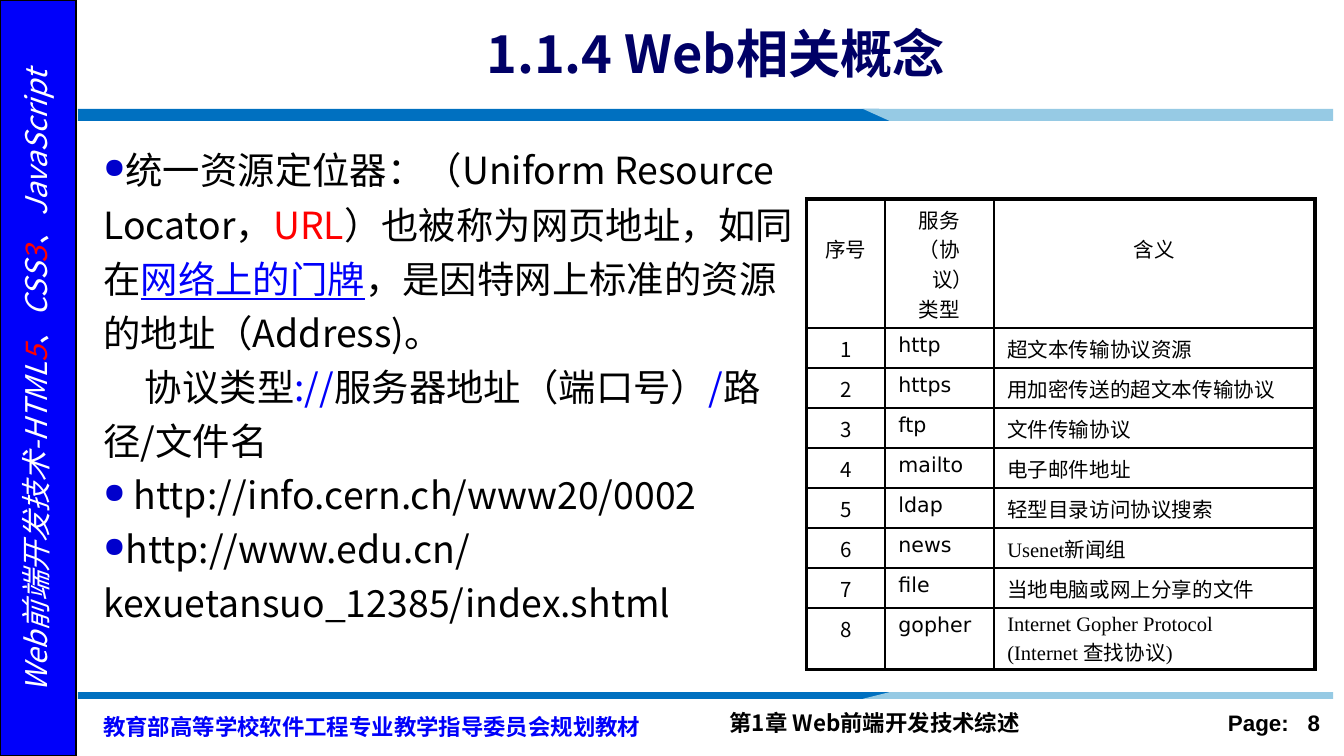
"""Build the slide on Web concepts: the URL and its protocol types."""
from dataclasses import dataclass
from typing import NamedTuple

from lxml import etree
from pptx import Presentation
from pptx import util as u
from pptx.dml.color import RGBColor
from pptx.enum import shapes, text
from pptx.oxml.ns import qn

COLORS = {"black": "000000", "white": "FFFFFF", "red": "FF0000", "blue": "0000FA",
          "bullet": "0000CC", "navy": "000066", "band": "0070C0", "pale": "96CAE4"}
CJK, SANS, SERIF, LATIN = "Noto Sans CJK SC", "DejaVu Sans", "Times New Roman", "Arial"
WIDTH, HEIGHT = u.Pt(720), u.Pt(405)
ROWS = 56.25
GRID_COLUMN, GRID_ROW = WIDTH / 100, HEIGHT / ROWS


class Area(NamedTuple):
    """A rectangle in grid columns and rows."""
    column: float
    row: float
    columns: float
    rows: float

    def emu(self) -> tuple[int, int, int, int]:
        """Return left, top, width and height."""
        return (across(self.column), down(self.row), across(self.columns), down(self.rows))


@dataclass
class Style:
    """Looks shared by the runs of one text."""
    size: float
    font: str = CJK
    color: str = "black"
    bold: bool = False
    italic: bool = False


class Piece(NamedTuple):
    """A stretch of text with its own colour, underline or tracking."""
    words: str
    color: str = ""
    underline: bool = False
    tracking: int = 0


class Point(NamedTuple):
    """A paragraph of the explanation."""
    pieces: list[Piece]
    bullet: bool = True
    indent: float = -0.2


class Band(NamedTuple):
    """A two-tone rule, from its slanted tip's near edge to its far edge."""
    near: float
    far: float


SIDEBAR = [Piece("Web前端开发技术-HTML"), Piece("5", "red"), Piece("、CSS"),
           Piece("3", "red"), Piece("、JavaScript")]
POINTS = [
    Point([Piece("统一资源定位器：（Uniform Resource Locator，"), Piece("URL", "red"),
           Piece("）也被称为网页地址，如同在"), Piece("网络上的门牌", "blue", True),
           Piece("，是因特网上标准的资源的地址（Address)。")]),
    Point([Piece("协议类型"), Piece("://", "blue"), Piece("服务器地址（端口号）"),
           Piece("/", "blue"), Piece("路径/文件名")], False, 0.31),
    Point([Piece(" http://info.cern.ch/www20/0002")]),
    Point([Piece("http://www.edu.cn/kexuetansuo_12385/index.shtml")]),
]
HEADERS = ["序号", "服务\n（协议）\n类型", "含义"]
PROTOCOLS = [("http", "超文本传输协议资源"), ("https", "用加密传送的超文本传输协议"),
             ("ftp", "文件传输协议"), ("mailto", "电子邮件地址"),
             ("ldap", "轻型目录访问协议搜索"), ("news", "Usenet新闻组"),
             ("file", "当地电脑或网上分享的文件"),
             ("gopher", "Internet Gopher Protocol\n(Internet 查找协议)")]
TABLE_COLUMNS = [5.85, 8.1, 23.9]
TABLE_ROWS = [9.6] + [2.98] * 7 + [4.6]


def across(columns: float) -> int:
    """Turn grid columns into a length."""
    return round(columns * GRID_COLUMN)


def down(rows: float) -> int:
    """Turn grid rows into a length."""
    return round(rows * GRID_ROW)


def rgb(name: str) -> RGBColor:
    """Look up a named colour."""
    return RGBColor.from_string(COLORS[name])


def format_run(run, style: Style, piece: Piece = Piece("")) -> None:
    """Apply a style and a piece's own looks to a run."""
    font = run.font
    font.size, font.name = u.Pt(style.size), style.font
    font.bold, font.italic = style.bold, style.italic
    font.underline = piece.underline
    font.color.rgb = rgb(piece.color or style.color)
    properties = font._element
    etree.SubElement(properties, qn("a:ea"), typeface=CJK)
    if piece.tracking:
        properties.set("spc", str(piece.tracking))


def write(paragraph, pieces: list[Piece], style: Style) -> None:
    """Fill a paragraph with pieces."""
    for piece in pieces:
        run = paragraph.add_run()
        run.text = piece.words
        format_run(run, style, piece)


def indent(paragraph, margin: float, first: float) -> None:
    """Set left margin and first-line indent in inches."""
    properties = paragraph._p.get_or_add_pPr()
    properties.set("marL", str(u.Inches(margin)))
    properties.set("indent", str(u.Inches(first)))


def add_label(slide, area: Area, pieces: list[Piece], style: Style,
              align=text.PP_ALIGN.LEFT, spacing=None):
    """Add a one-paragraph text box."""
    label = slide.shapes.add_textbox(*area.emu())
    label.text_frame.word_wrap = True
    paragraph = label.text_frame.paragraphs[0]
    paragraph.alignment, paragraph.line_spacing = align, spacing
    write(paragraph, pieces, style)
    return label


def add_sidebar(slide) -> None:
    """Add the blue strip with the upright book title."""
    strip = slide.shapes.add_shape(shapes.MSO_SHAPE.RECTANGLE, *Area(0, 0, 5.65, ROWS).emu())
    strip.shadow.inherit = False
    strip.fill.solid()
    strip.fill.fore_color.rgb = rgb("blue")
    strip.line.color.rgb, strip.line.width = rgb("black"), u.Pt(1)
    book = add_label(slide, Area(-23.1, 26.7, 51.9, 3.4), SIDEBAR,
                     Style(16, color="white", italic=True), text.PP_ALIGN.CENTER, 0.9)
    book.text_frame.margin_left = book.text_frame.margin_right = 0
    book.rotation = 270


def add_band(slide, band: Band) -> None:
    """Draw a rule's dark part and the pale part over it."""
    near, far = band
    parts = {"band": [(5.8, near), (65.4, near), (67.2, far), (5.8, far)],
             "pale": [(64.2, near), (99.2, near), (99.2, far), (66.2, far)]}
    for color, corners in parts.items():
        outline = [(across(x), down(y)) for x, y in corners]
        builder = slide.shapes.build_freeform(*outline[0], scale=1.0)
        builder.add_line_segments(outline[1:], close=True)
        part = builder.convert_to_shape()
        part.shadow.inherit = False
        part.fill.solid()
        part.fill.fore_color.rgb = rgb(color)
        part.line.fill.background()


def add_title(slide, words: str) -> None:
    """Place and format the title."""
    title = slide.shapes.title
    title.left, title.top, title.width, title.height = Area(10.8, 0.8, 84.9, 6.2).emu()
    title.text_frame.text = words
    title.text_frame.vertical_anchor = text.MSO_ANCHOR.MIDDLE
    paragraph = title.text_frame.paragraphs[0]
    paragraph.alignment = text.PP_ALIGN.CENTER
    format_run(paragraph.runs[0], Style(28, color="navy", bold=True))


def add_explanation(slide) -> None:
    """Add the bulleted explanation of the URL."""
    frame = slide.shapes.add_textbox(*Area(6.7, 9.8, 54.5, 37.6).emu()).text_frame
    frame.word_wrap = True
    for index, point in enumerate(POINTS):
        paragraph = frame.add_paragraph() if index else frame.paragraphs[0]
        paragraph.line_spacing = u.Pt(29)
        indent(paragraph, 0, point.indent)
        if point.bullet:
            properties = paragraph._p.get_or_add_pPr()
            color = etree.SubElement(properties, qn("a:buClr"))
            etree.SubElement(color, qn("a:srgbClr"), val=COLORS["bullet"])
            etree.SubElement(properties, qn("a:buSzPct"), val="75000")
            etree.SubElement(properties, qn("a:buChar"), char="●")
        write(paragraph, point.pieces, Style(20))


def add_borders(cell, widths: dict[str, int]) -> None:
    """Draw a cell's four borders, widths in points."""
    properties = cell._tc.get_or_add_tcPr()
    for side, width in widths.items():
        line = etree.SubElement(properties, qn(f"a:ln{side}"), w=str(u.Pt(width)))
        fill = etree.SubElement(line, qn("a:solidFill"))
        etree.SubElement(fill, qn("a:srgbClr"), val=COLORS["black"])


def add_protocols(slide) -> None:
    """Add the table of protocol types."""
    rows = [HEADERS] + [(str(n), *entry) for n, entry in enumerate(PROTOCOLS, 1)]
    last_row, last_column = len(rows) - 1, len(HEADERS) - 1
    area = Area(60, 14.8, sum(TABLE_COLUMNS), sum(TABLE_ROWS))
    table = slide.shapes.add_table(len(rows), len(HEADERS), *area.emu()).table
    table.first_row = table.horz_banding = False
    for column, width in zip(table.columns, TABLE_COLUMNS):
        column.width = across(width)
    for r, (entries, height) in enumerate(zip(rows, TABLE_ROWS)):
        table.rows[r].height = down(height)
        for c, words in enumerate(entries):
            cell = table.cell(r, c)
            cell.text_frame.text = words
            lowered = r == 0 and c != 1
            cell.margin_top = u.Inches(0.26 if lowered else 0.04)
            cell.margin_bottom = u.Inches(0.04)
            add_borders(cell, {"L": 1 + (c == 0), "R": 1 + (c == last_column),
                               "T": 1 + (r == 0), "B": 1 + (r == last_row)})
            cell.fill.background()
            font = CJK if r == 0 else (CJK, SANS, SERIF)[c]
            centred = r == 0 or c == 0
            for paragraph in cell.text_frame.paragraphs:
                paragraph.alignment = text.PP_ALIGN.CENTER if centred else text.PP_ALIGN.LEFT
                indent(paragraph, 0.2, -0.2)
                format_run(paragraph.runs[0], Style(11, font))


def add_footer(slide) -> None:
    """Add chapter, page number and series line."""
    add_label(slide, Area(53.3, 52.3, 32.9, 3), [Piece("第1章 Web前端开发技术综述")],
              Style(12, bold=True))
    add_label(slide, Area(86.7, 52.3, 12.5, 3),
              [Piece("Page:"), Piece(" ", tracking=667), Piece("8")],
              Style(12, LATIN, bold=True), text.PP_ALIGN.RIGHT)
    add_label(slide, Area(6.7, 52.1, 43.3, 3.5),
              [Piece("教育部高等学校软件工程专业教学指导委员会规划教材")],
              Style(12, color="blue", bold=True), spacing=u.Pt(18))


def main() -> None:
    """Build and save the slide."""
    deck = Presentation()
    deck.slide_width, deck.slide_height = WIDTH, HEIGHT
    slide = deck.slides.add_slide(deck.slide_layouts[5])
    add_footer(slide)
    add_sidebar(slide)
    for band in (Band(8.1, 9), Band(52, 51.5)):
        add_band(slide, band)
    add_title(slide, "1.1.4 Web相关概念")
    add_explanation(slide)
    add_protocols(slide)
    deck.save("out.pptx")


if __name__ == "__main__":
    main()
